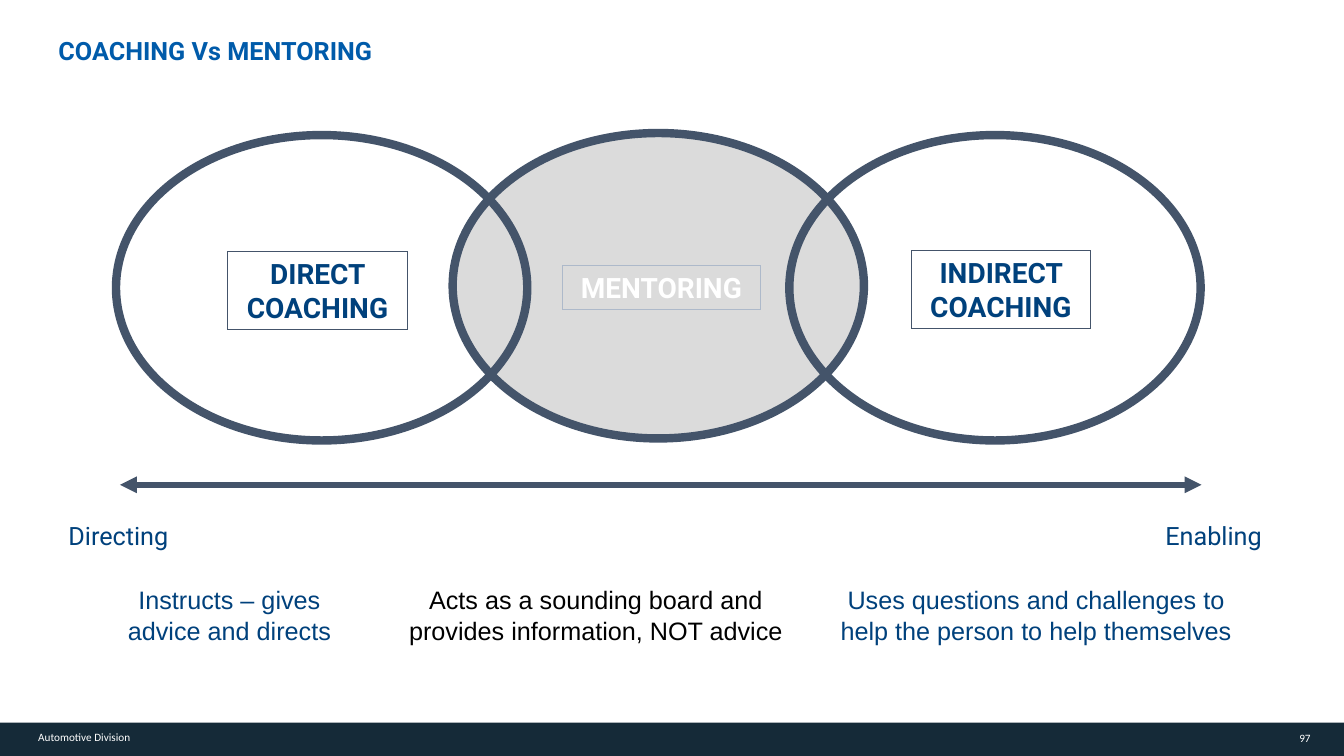
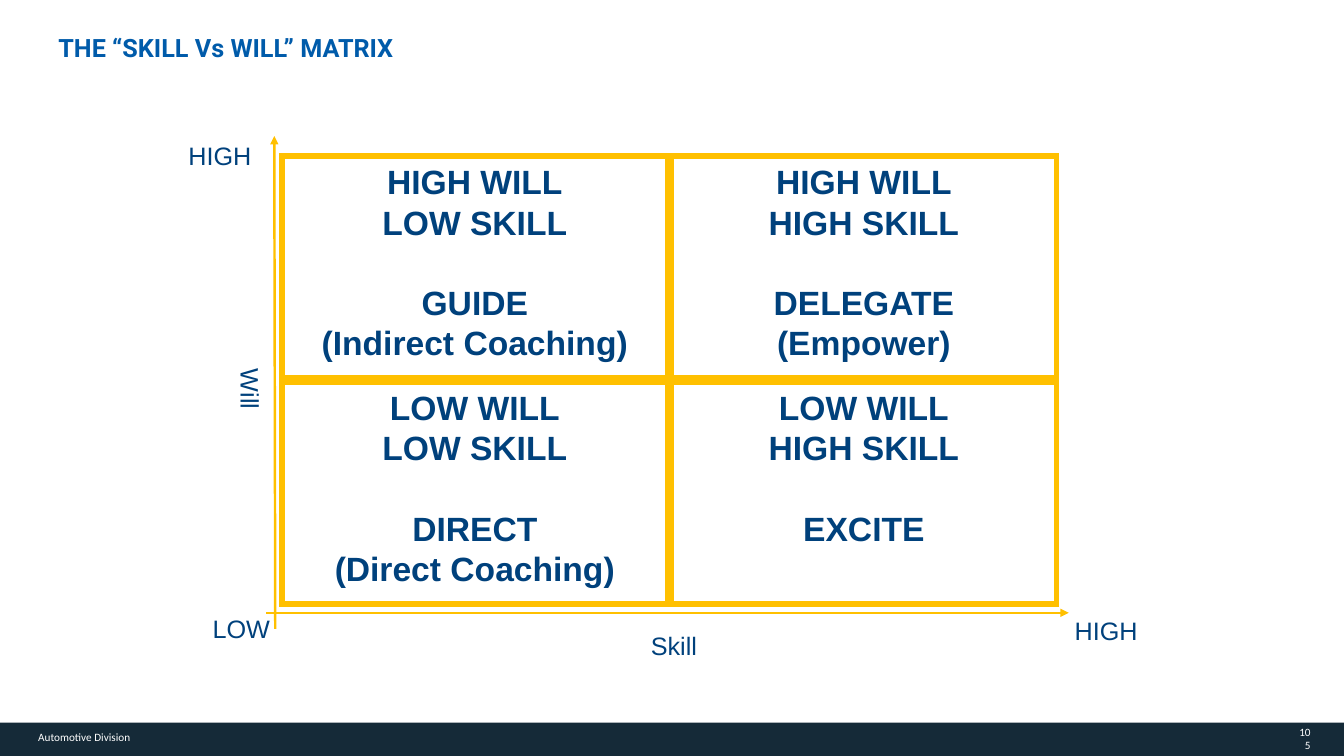
import pptx
import pptx.dml.color
import pptx.enum.shapes
import pptx.enum.text
import pptx.oxml.ns
import pptx.util
from lxml import etree

COLORS = {
    "band": "152A38",
    "title": "005BAA",
    "body": "00417C",
    "slate": "44546A",
    "pale": "ADB9CA",
    "gray": "DBDBDB",
    "gold": "FFC000",
    "white": "FFFFFF",
    "black": "000000",
}
SHAPES = pptx.enum.shapes.MSO_SHAPE
ALIGNMENTS = {
    "left": pptx.enum.text.PP_ALIGN.LEFT,
    "center": pptx.enum.text.PP_ALIGN.CENTER,
    "right": pptx.enum.text.PP_ALIGN.RIGHT,
}


def color(name):
    return pptx.dml.color.RGBColor.from_string(COLORS[name])


def add_element(parent, tag, **attributes):
    return etree.SubElement(parent, pptx.oxml.ns.qn(tag), attributes)


def write(shape, text, font="Arial", size=18, ink="body", bold=False, align="left",
          middle=False, inset=True, gaps=None):
    frame = shape.text_frame
    frame.word_wrap = True
    anchors = pptx.enum.text.MSO_ANCHOR
    frame.vertical_anchor = anchors.MIDDLE if middle else anchors.TOP
    if not inset:
        frame.margin_left = frame.margin_right = frame.margin_top = frame.margin_bottom = 0
    for index, line in enumerate(text.split("\n")):
        paragraph = frame.paragraphs[0] if index == 0 else frame.add_paragraph()
        paragraph.alignment = ALIGNMENTS[align]
        if gaps and index in gaps:
            paragraph.space_before = pptx.util.Pt(gaps[index])
        run = paragraph.add_run()
        run.text = line
        run.font.name = font
        run.font.size = pptx.util.Pt(size)
        run.font.bold = bold
        run.font.color.rgb = color(ink)


class Deck:
    """Style and current slide, with lengths in percent of the slide's size."""

    def __init__(self):
        self.presentation = pptx.Presentation()
        self.presentation.slide_width = pptx.util.Inches(13.33)
        self.presentation.slide_height = pptx.util.Inches(7.5)
        self.slide = None

    def across(self, share):
        return round(self.presentation.slide_width * share / 100)

    def down(self, share):
        return round(self.presentation.slide_height * share / 100)

    def area(self, left, top, width, height):
        return self.across(left), self.down(top), self.across(width), self.down(height)

    def start(self, title, page, title_top):
        self.slide = self.presentation.slides.add_slide(self.presentation.slide_layouts[6])
        self.shape(SHAPES.RECTANGLE, (0, 95.6, 100, 4.4), fill="band")
        small = {"font": "Calibri", "size": 8, "ink": "white"}
        self.text(page, (96.47, 96.8, 1.05, 1.73), align="right", middle=True,
                  inset=False, **small)
        self.text("Automotive Division", (2.1, 96, 9.08, 3.2), **small)
        self.text(title, (4.35, title_top, 89.35, 4), font="Roboto", ink="title",
                  bold=True, inset=False)

    def text(self, text, area, rotation=0, **style):
        box = self.slide.shapes.add_textbox(*self.area(*area))
        box.rotation = rotation
        write(box, text, **style)

    def shape(self, kind, area, fill=None, line=None, weight=0.75):
        shape = self.slide.shapes.add_shape(kind, *self.area(*area))
        shape.shadow.inherit = False
        if fill:
            shape.fill.solid()
            shape.fill.fore_color.rgb = color(fill)
        else:
            shape.fill.background()
        if line:
            shape.line.color.rgb = color(line)
            shape.line.width = pptx.util.Pt(weight)
            add_element(shape.line._get_or_add_ln(), "a:miter", lim="800000")
        else:
            shape.line.fill.background()
        return shape

    def label(self, text, area, line, weight=0.75, **style):
        box = self.shape(SHAPES.RECTANGLE, area, line=line, weight=weight)
        write(box, text, bold=True, align="center", **style)

    def arrow(self, start, end, line, weight, double=False):
        connector = self.slide.shapes.add_connector(
            pptx.enum.shapes.MSO_CONNECTOR.STRAIGHT,
            self.across(start[0]), self.down(start[1]),
            self.across(end[0]), self.down(end[1]))
        connector.line.color.rgb = color(line)
        connector.line.width = pptx.util.Pt(weight)
        outline = connector.line._get_or_add_ln()
        if double:
            add_element(outline, "a:headEnd", type="triangle")
        add_element(outline, "a:tailEnd", type="triangle")
        add_element(connector._element.spPr, "a:effectLst")


def build_coaching(deck):
    deck.start("COACHING Vs MENTORING", "97", 4.67)
    for column, top, fill in ((1, 17.6, "gray"), (2, 17.87, None), (0, 17.87, None)):
        deck.shape(SHAPES.OVAL, (8.63 + 25.05 * column, top, 30.6, 40.4),
                   fill=fill, line="slate", weight=6)
    deck.arrow((8.93, 64.13), (89.4, 64.13), "slate", 4, double=True)
    for text, left in (("Directing", 4.35), ("Enabling", 85.97)):
        deck.text(text, (left, 68.13, 12.68, 5.33), font="Roboto")
    for text, area, line, ink in (
        ("DIRECT COACHING", (16.95, 33.3, 13.35, 10.27), "slate", "body"),
        ("INDIRECT COACHING", (67.8, 33.2, 13.35, 10.27), "slate", "body"),
        ("MENTORING", (41.86, 35.07, 14.7, 5.87), "pale", "white"),
    ):
        deck.label(text, area, line, font="Roboto", size=20, ink=ink)
    for text, left, width, ink in (
        ("Instructs – gives advice and directs", 8.63, 16.88, "body"),
        ("Acts as a sounding board and provides information, NOT advice",
         29.48, 29.71, "black"),
        ("Uses questions and challenges to help the person to help themselves",
         60.77, 32.63, "body"),
    ):
        deck.text(text, (left, 76.67, width, 9.47), ink=ink, align="center")


def build_matrix(deck):
    deck.start("THE “SKILL Vs WILL” MATRIX", "105", 4.27)
    deck.arrow((19.8, 81.07), (79.52, 81.07), "gold", 1.75)
    deck.arrow((20.48, 83.2), (20.41, 18), "gold", 1.75)
    actions = (
        ("GUIDE\n(Indirect Coaching)", "DELEGATE\n(Empower)"),
        ("DIRECT\n(Direct Coaching)", "EXCITE"),
    )
    levels = ("LOW", "HIGH")
    for row, row_actions in enumerate(actions):
        for column, action in enumerate(row_actions):
            text = f"{levels[1 - row]} WILL\n{levels[column]} SKILL\n{action}"
            area = (21 + 28.95 * column, 20.67 + 29.87 * row, 28.66, 29.33)
            deck.label(text, area, "gold", weight=4, size=24, gaps={2: 28.5})
    for text, left, top in (("LOW", 15.08, 80.53), ("HIGH", 79.22, 80.8),
                            ("HIGH", 13.28, 17.87)):
        deck.text(text, (left, top, 6.53, 5.33))
    deck.text("Skill", (38.93, 82.67, 22.43, 5.33), align="center")
    deck.text("Will", (11.85, 48.8, 13.58, 5.33), rotation=90, align="center")


def main():
    deck = Deck()
    build_coaching(deck)
    build_matrix(deck)
    deck.presentation.save("out.pptx")


if __name__ == "__main__":
    main()
